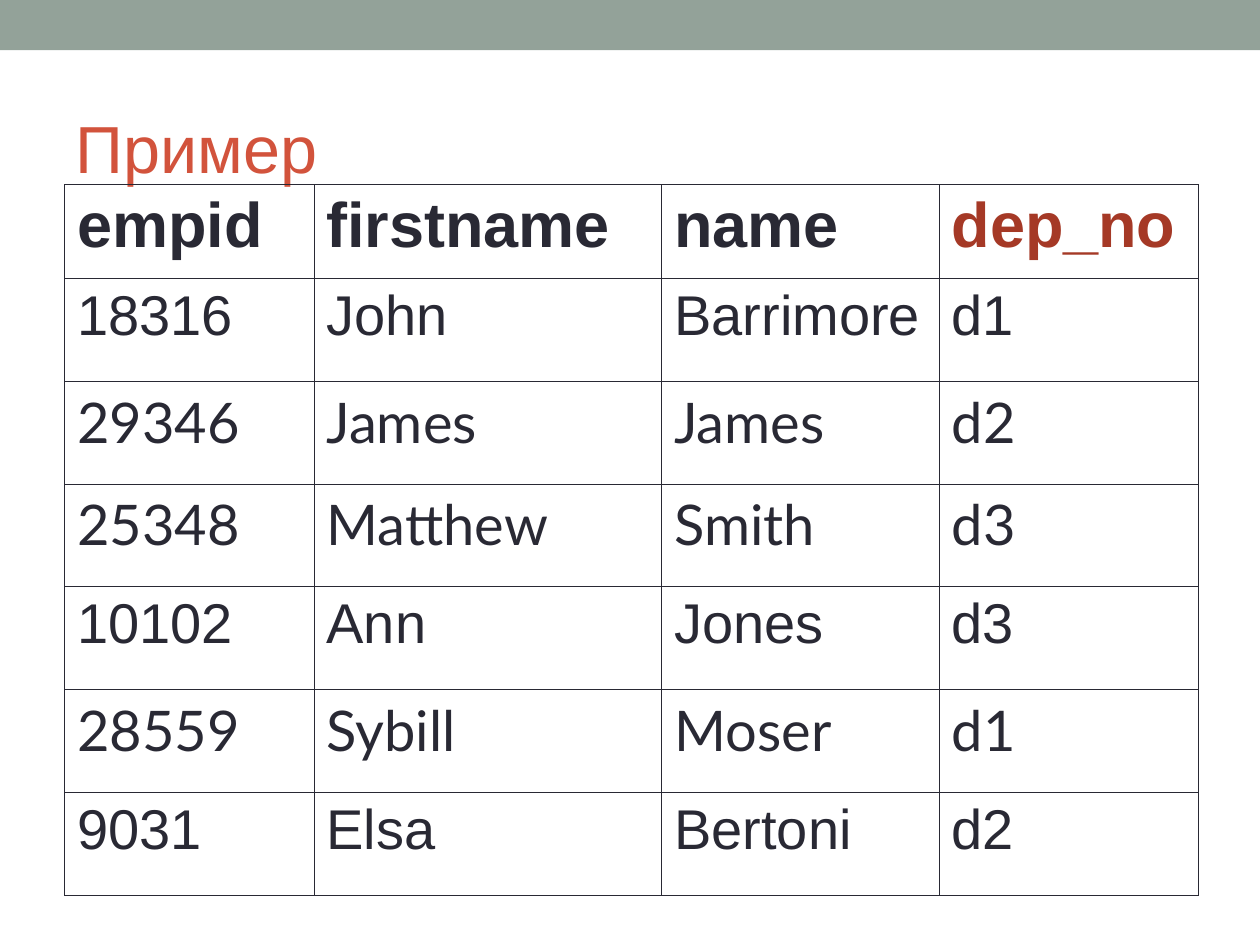
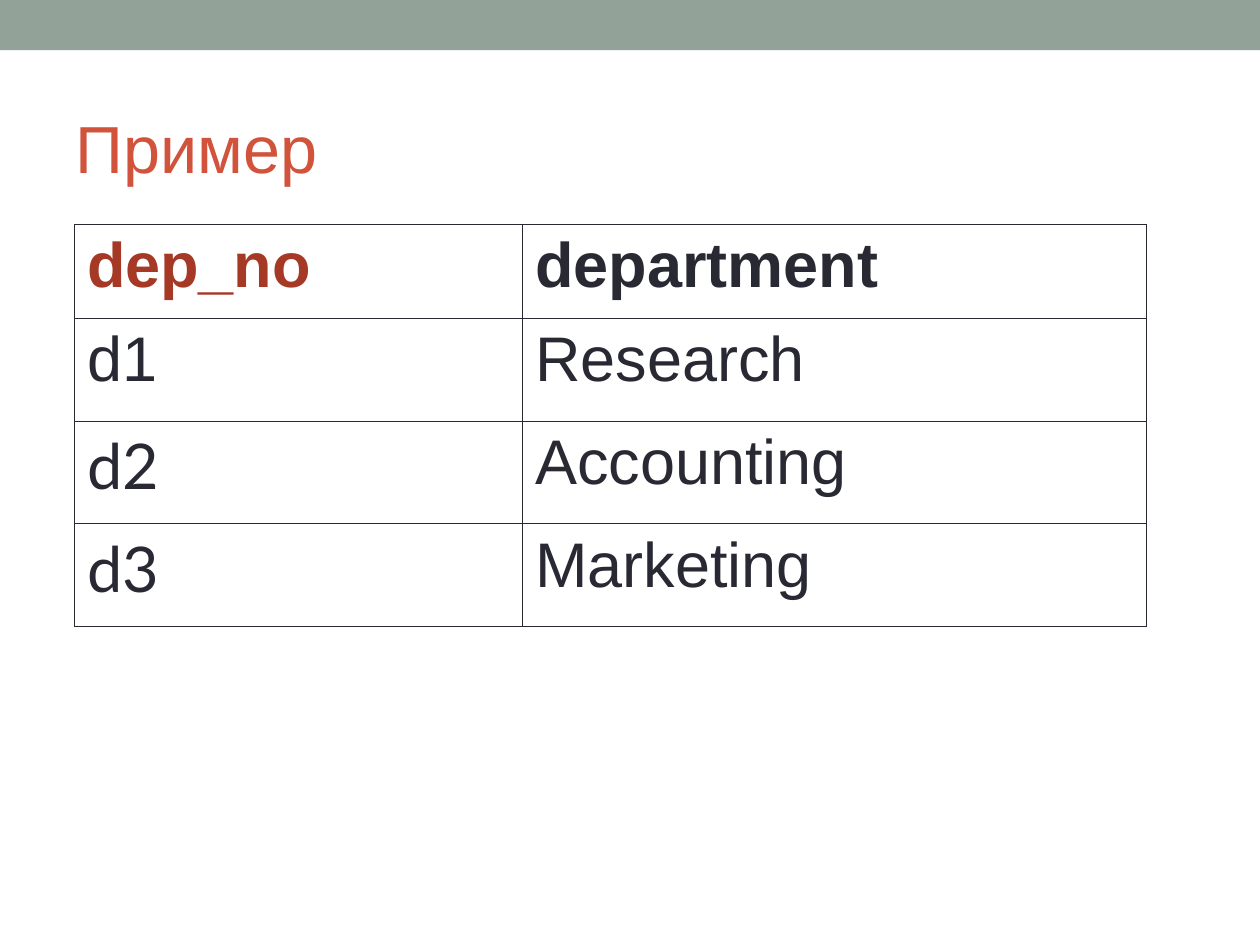
import pptx
import pptx.dml.color
import pptx.enum.shapes
import pptx.enum.text
import pptx.oxml
import pptx.oxml.ns
import pptx.util

Cm, Pt = pptx.util.Cm, pptx.util.Pt

COLORS = {"band": "93A299", "title": "D2533C", "ink": "292934", "key": "A53926"}
FONT, ALTERNATE_FONT = "Arial", "Lato"
KEY_COLUMN = "dep_no"
HEADER_SIZE = 36
HEADER_HEIGHT, ROW_HEIGHT = 1.9, 2.07
BORDER_WIDTH = Pt(0.45)

SLIDES = [
    {
        "title": "Пример",
        "position": (1.3, 3.72),
        "widths": (5.03, 7.01, 5.59, 5.23),
        "body_size": 32,
        "alternate_rows": (2, 3, 5),
        "alternate_columns": (0, 1, 2, 3),
        "rows": [
            ("empid", "firstname", "name", "dep_no"),
            ("18316", "John", "Barrimore", "d1"),
            ("29346", "James", "James", "d2"),
            ("25348", "Matthew", "Smith", "d3"),
            ("10102", "Ann", "Jones", "d3"),
            ("28559", "Sybill", "Moser", "d1"),
            ("9031", "Elsa", "Bertoni", "d2"),
        ],
    },
    {
        "title": "Пример",
        "position": (1.5, 4.52),
        "widths": (9.04, 12.57),
        "body_size": 36,
        "alternate_rows": (2, 3),
        "alternate_columns": (0,),
        "rows": [
            ("dep_no", "department"),
            ("d1", "Research"),
            ("d2", "Accounting"),
            ("d3", "Marketing"),
        ],
    },
]


def rgb(name):
    return pptx.dml.color.RGBColor.from_string(COLORS[name])


def add_span(para, text, size, color, font=FONT, bold=False):
    span = para.add_run()
    span.text = text
    span.font.name = font
    span.font.size = Pt(size)
    span.font.bold = bold
    span.font.color.rgb = rgb(color)


def add_band(page, width):
    band = page.shapes.add_shape(
        pptx.enum.shapes.MSO_SHAPE.RECTANGLE, 0, 0, width, Cm(1.01))
    band.shadow.inherit = False
    band.fill.solid()
    band.fill.fore_color.rgb = rgb("band")
    band.line.fill.background()


def write_title(page, text):
    title = page.shapes.title
    title.left, title.top = Cm(1.27), Cm(1.47)
    title.width, title.height = Cm(22.86), Cm(2.74)
    frame = title.text_frame
    frame.auto_size = pptx.enum.text.MSO_AUTO_SIZE.NONE
    frame.vertical_anchor = pptx.enum.text.MSO_ANCHOR.MIDDLE
    frame.margin_top = Cm(0.35)
    para = frame.paragraphs[0]
    para.alignment = pptx.enum.text.PP_ALIGN.LEFT
    add_span(para, text, 38, "title")


def outline_cell(cell):
    """Draw all four borders; they must precede the fill in the cell properties."""
    properties = cell._tc.get_or_add_tcPr()
    for index, side in enumerate(("lnL", "lnR", "lnT", "lnB")):
        border = pptx.oxml.parse_xml(
            f'<a:{side} {pptx.oxml.ns.nsdecls("a")} w="{BORDER_WIDTH}">'
            f'<a:solidFill><a:srgbClr val="{COLORS["ink"]}"/></a:solidFill>'
            f'</a:{side}>')
        properties.insert(index, border)


def add_grid(page, content):
    rows, widths = content["rows"], content["widths"]
    heights = [HEADER_HEIGHT] + [ROW_HEIGHT] * (len(rows) - 1)
    left, top = content["position"]
    table = page.shapes.add_table(
        len(rows), len(widths), Cm(left), Cm(top),
        Cm(sum(widths)), Cm(sum(heights))).table
    table.first_row = table.horz_banding = False
    for column, width in zip(table.columns, widths):
        column.width = Cm(width)
    for row, height in zip(table.rows, heights):
        row.height = Cm(height)

    for row_index, values in enumerate(rows):
        header = row_index == 0
        for column_index, text in enumerate(values):
            cell = table.cell(row_index, column_index)
            cell.fill.background()
            outline_cell(cell)
            alternate = (row_index in content["alternate_rows"]
                         and column_index in content["alternate_columns"])
            add_span(cell.text_frame.paragraphs[0], text,
                     HEADER_SIZE if header else content["body_size"],
                     "key" if text == KEY_COLUMN else "ink",
                     ALTERNATE_FONT if alternate else FONT,
                     bold=header)


def main():
    deck = pptx.Presentation()
    deck.slide_width, deck.slide_height = Cm(25.4), Cm(19.05)
    title_only = deck.slide_layouts[5]
    for content in SLIDES:
        page = deck.slides.add_slide(title_only)
        add_band(page, deck.slide_width)
        write_title(page, content["title"])
        add_grid(page, content)
    deck.save("out.pptx")


if __name__ == "__main__":
    main()
